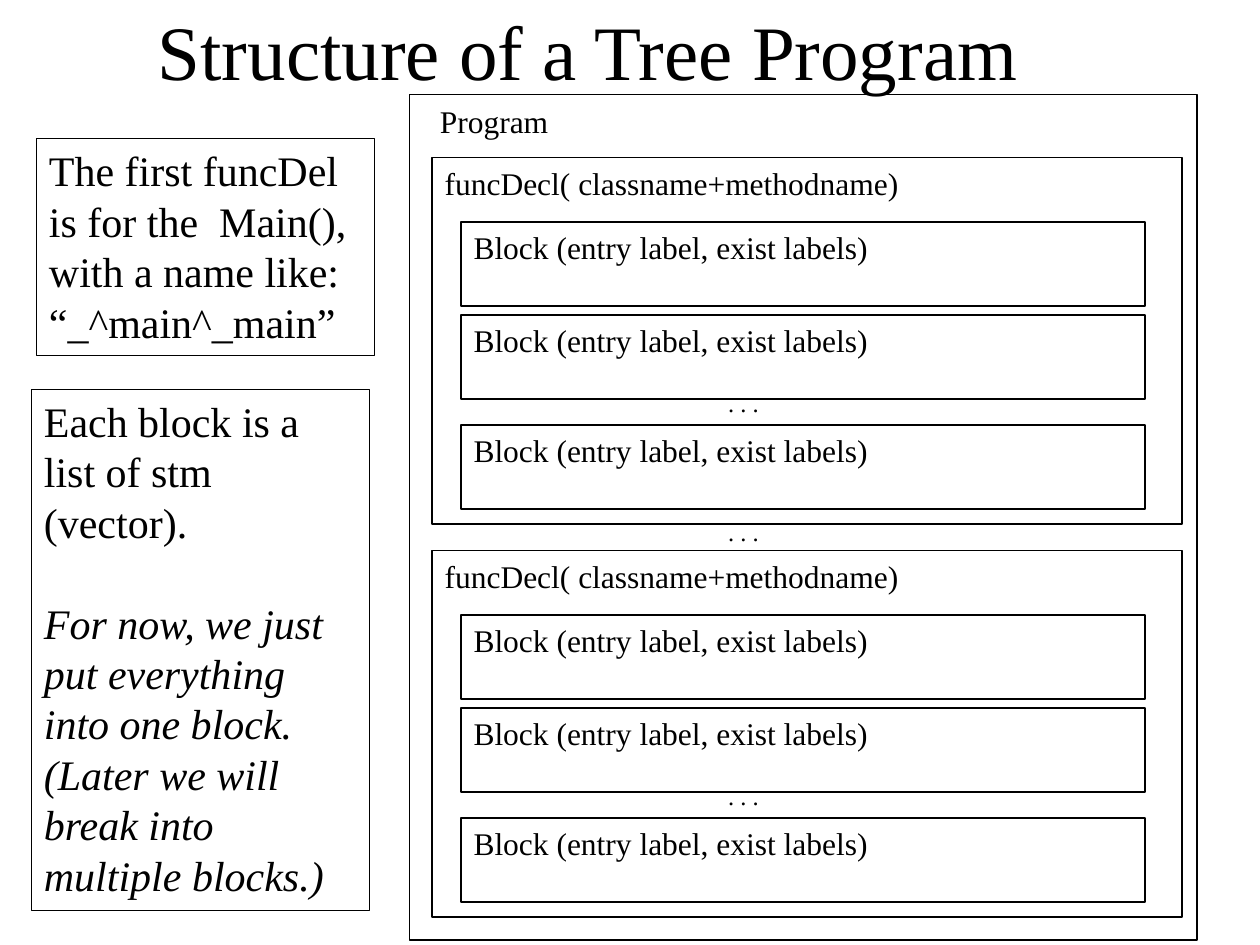
from pptx import Presentation
from pptx.dml.color import RGBColor
from pptx.enum.shapes import MSO_SHAPE as Shape
from pptx.enum.text import MSO_ANCHOR as Anchor, PP_ALIGN as Align
from pptx.util import Pt

# Content
TITLE = "Structure of a Tree Program"
PROGRAM = "Program"
FUNCTION = "funcDecl( classname+methodname)"
BLOCK = "Block (entry label, exist labels)"
DOTS = ". . ."

# Each note: box (left, top, width, height), paragraphs (text, italic, space before)
NOTES = [
    ((20.9, 79.2, 193, 123.8), [
        ("The first funcDel  is for the  Main(), with a name like:", False, 0),
        ("“_^main^_main”", False, 0),
    ]),
    ((18, 222.5, 193, 298), [
        ("Each block is a list of stm (vector).", False, 0),
        ("For now, we just put everything into one block.", True, 28.8),
        ("(Later we will break into multiple blocks.)", True, 0),
    ]),
]

# Layout in points
COLORS = {"ink": "000000"}
FONT = "Times New Roman"
PROGRAM_BOX = (234, 54, 450, 483)
FUNCTION_LEFT, FUNCTION_WIDTH, FUNCTION_HEIGHT = 247, 428.5, 209.5
FUNCTION_TOPS = (90, 314.6)
BLOCK_LEFT, BLOCK_WIDTH, BLOCK_HEIGHT = 263.5, 391, 48.2
BLOCK_OFFSETS = (36.7, 90, 152.9)
LABEL_WIDTH, LABEL_HEIGHT = 414, 29
DOTS_LEFT, DOTS_WIDTH, DOTS_HEIGHT = 409, 54, 24.2
BLOCK_DOTS_OFFSET = 127.8
FUNCTION_DOTS_TOP = 291.6


def ink():
    return RGBColor.from_string(COLORS["ink"])


def add_run(paragraph, text, size, italic=False):
    run = paragraph.add_run()
    run.text = text
    run.font.name = FONT
    run.font.size = Pt(size)
    run.font.italic = italic
    run.font.color.rgb = ink()


def add_box(slide, box, line_width=1):
    shape = slide.shapes.add_shape(Shape.RECTANGLE, *map(Pt, box))
    shape.shadow.inherit = False
    shape.fill.background()
    shape.line.color.rgb = ink()
    shape.line.width = Pt(line_width)
    return shape


def add_label(slide, box, text, size=18, anchor=Anchor.TOP, wrap=True):
    frame = slide.shapes.add_textbox(*map(Pt, box)).text_frame
    frame.word_wrap = wrap
    frame.vertical_anchor = anchor
    add_run(frame.paragraphs[0], text, size)


def add_dots(slide, top):
    add_label(slide, (DOTS_LEFT, top, DOTS_WIDTH, DOTS_HEIGHT), DOTS, 14, Anchor.MIDDLE)


def add_labelled_box(slide, left, top, width, height, text):
    add_box(slide, (left, top, width, height))
    add_label(slide, (left, top, LABEL_WIDTH, LABEL_HEIGHT), text)


def add_function(slide, top):
    add_labelled_box(slide, FUNCTION_LEFT, top, FUNCTION_WIDTH, FUNCTION_HEIGHT, FUNCTION)
    for offset in BLOCK_OFFSETS:
        add_labelled_box(slide, BLOCK_LEFT, top + offset, BLOCK_WIDTH, BLOCK_HEIGHT, BLOCK)
    add_dots(slide, top + BLOCK_DOTS_OFFSET)


def add_note(slide, box, paragraphs):
    frame = add_box(slide, box, 0.75).text_frame
    frame.word_wrap = True
    frame.vertical_anchor = Anchor.TOP
    for index, (text, italic, space) in enumerate(paragraphs):
        paragraph = frame.add_paragraph() if index else frame.paragraphs[0]
        paragraph.alignment = Align.LEFT
        paragraph.space_before = Pt(space)
        add_run(paragraph, text, 24, italic)


def main():
    presentation = Presentation()
    presentation.slide_width, presentation.slide_height = Pt(720), Pt(540)
    slide = presentation.slides.add_slide(presentation.slide_layouts[5])

    # Title
    title = slide.shapes.title
    title.left, title.top, title.width, title.height = map(Pt, (30, 11, 612, 34.5))
    frame = title.text_frame
    frame.word_wrap = True
    frame.vertical_anchor = Anchor.MIDDLE
    frame.paragraphs[0].alignment = Align.CENTER
    add_run(frame.paragraphs[0], TITLE, 44)

    # Program with its functions and blocks
    add_box(slide, PROGRAM_BOX)
    add_label(slide, (244.3, 54.7, 77, LABEL_HEIGHT), PROGRAM, wrap=False)
    for top in FUNCTION_TOPS:
        add_function(slide, top)
    add_dots(slide, FUNCTION_DOTS_TOP)

    # Notes on the left
    for box, paragraphs in NOTES:
        add_note(slide, box, paragraphs)

    presentation.save("out.pptx")


if __name__ == "__main__":
    main()
